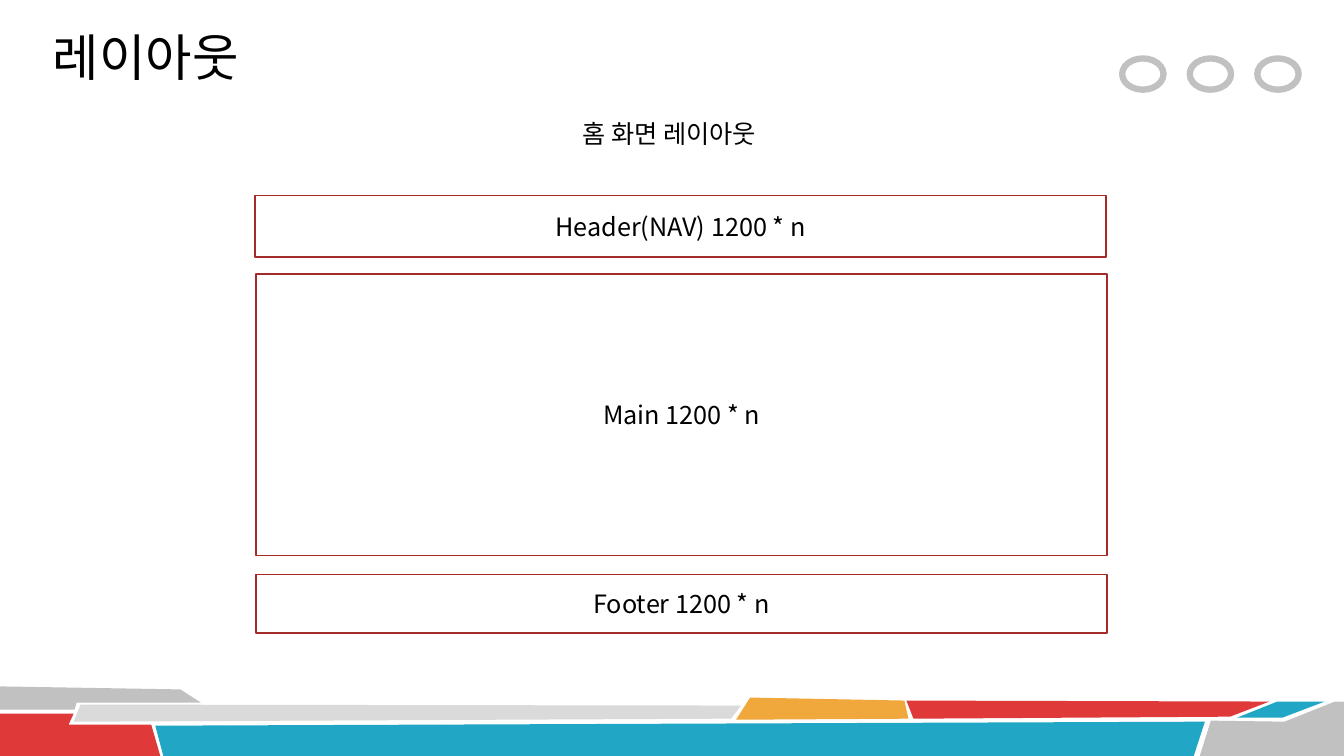
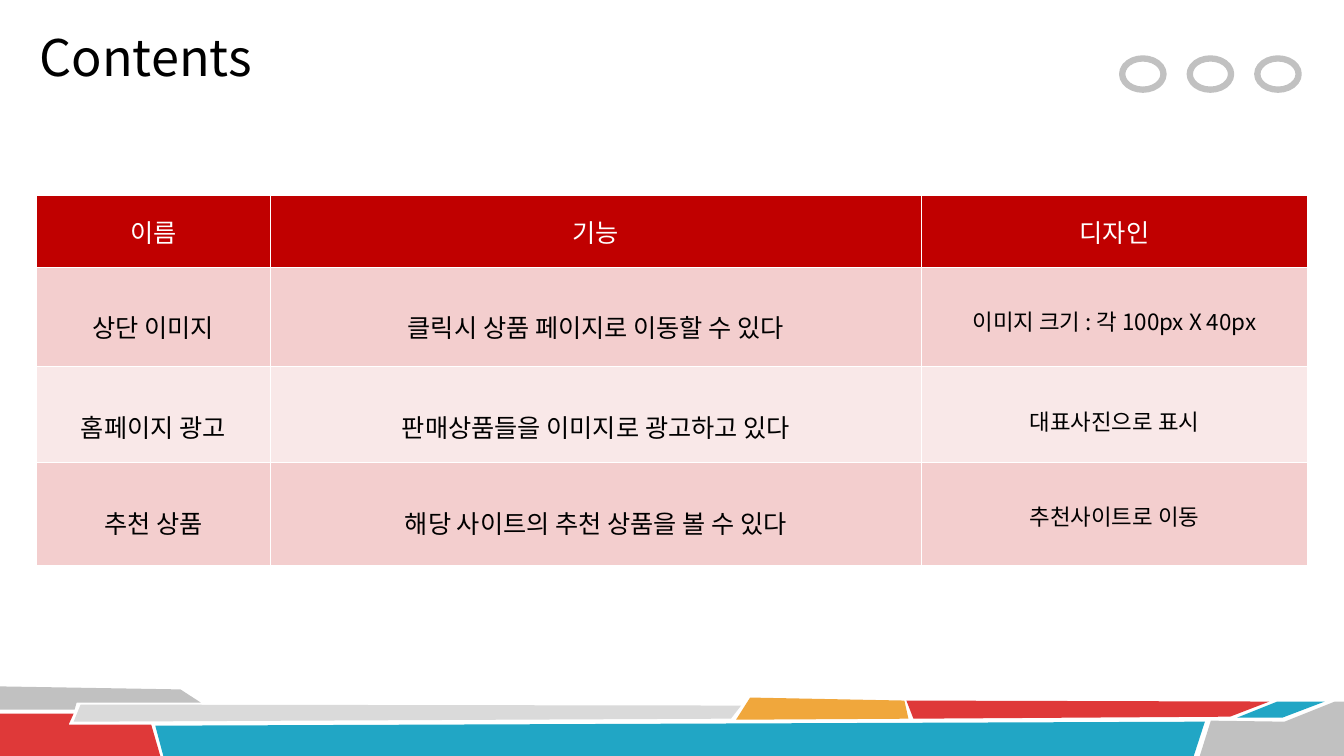
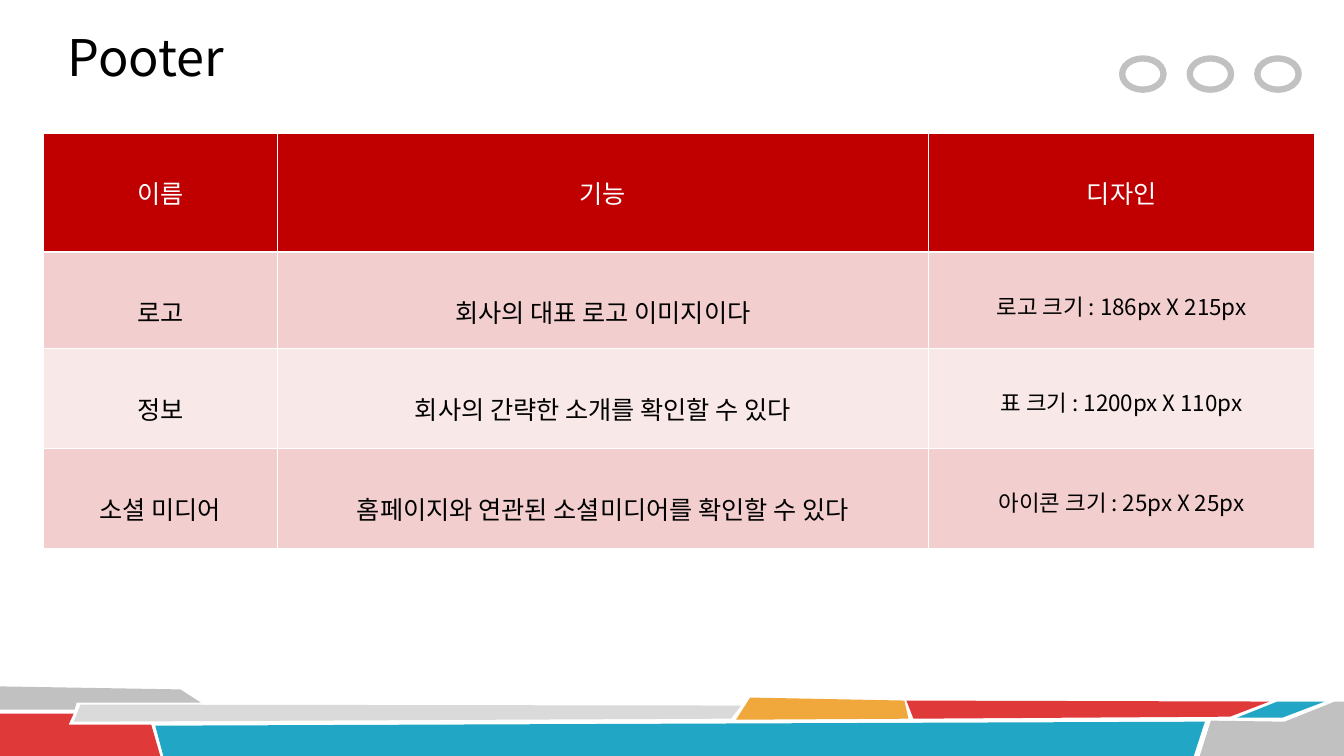
"""Builds three slides on a home page layout and its contents."""
import pptx
import pptx.util
import pptx.dml.color
import pptx.enum.shapes
import pptx.enum.text
import pptx.oxml
import pptx.oxml.ns

Inches = pptx.util.Inches
Pt = pptx.util.Pt
FONT = "Noto Sans CJK KR"
COLORS = {
    "black": "000000", "white": "FFFFFF", "gray": "C1C1C1", "pale": "DADADA",
    "red": "DF3939", "blue": "21A6C5", "gold": "F0A73C", "brown": "A52A2A",
    "head": "C00000", "rose": "F3CECE", "blush": "F9E8E8",
}
BANDS = [
    ("gray", [(0, 6.81), (1.79, 6.84), (1.99, 6.97), (0.76, 6.97), (0.74, 7.04), (0, 7.04)]),
    ("red", [(0, 7.08), (0.73, 7.08), (0.68, 7.19), (1.5, 7.19), (1.59, 7.5), (0, 7.5)]),
    ("pale", [(0.8, 6.99), (7.35, 7), (7.25, 7.13), (0.73, 7.16)]),
    ("blue", [(1.54, 7.2), (11.95, 7.16), (11.84, 7.5), (1.62, 7.5)]),
    ("gold", [(7.44, 6.92), (8.97, 6.95), (9.01, 7.13), (7.3, 7.14)]),
    ("red", [(8.99, 6.95), (12.59, 6.96), (12.2, 7.11), (9.06, 7.13)]),
    ("blue", [(12.67, 6.96), (13.14, 6.96), (12.72, 7.12), (12.27, 7.12)]),
    ("gray", [(12.01, 7.15), (12.74, 7.16), (13.24, 6.96), (13.33, 6.96), (13.33, 7.5), (11.9, 7.5)]),
]
BOXES = [
    ("Header(NAV) 1200 * n", 2.53, 1.94, 0.61),
    ("Main 1200 * n", 2.54, 2.72, 2.79),
    ("Footer 1200 * n", 2.54, 5.7, 0.58),
]
HEADS = ("이름", "기능", "디자인")
WIDTHS = (2.32, 6.46, 3.83)
TABLES = [
    {"title": "Contents", "at": (0.36, 1.94), "tall": (0.71, 0.99, 0.95, 1.02), "rows": [
        ("상단 이미지", "클릭시 상품 페이지로 이동할 수 있다", "이미지 크기 : 각 100px X 40px"),
        ("홈페이지 광고", "판매상품들을 이미지로 광고하고 있다", "대표사진으로 표시"),
        ("추천 상품", "해당 사이트의 추천 상품을 볼 수 있다", "추천사이트로 이동"),
    ]},
    {"title": "Pooter", "at": (0.43, 1.32), "tall": (1.18, 0.96, 0.99, 0.99), "rows": [
        ("로고", "회사의 대표 로고 이미지이다", "로고 크기 : 186px X 215px"),
        ("정보", "회사의 간략한 소개를 확인할 수 있다", "표 크기 : 1200px X 110px"),
        ("소셜 미디어", "홈페이지와 연관된 소셜미디어를 확인할 수 있다", "아이콘 크기 : 25px X 25px"),
    ]},
]


def tint(name):
    return pptx.dml.color.RGBColor.from_string(COLORS[name])


def paint(shape, fill=None, line=None, width=1.25):
    if fill:
        shape.fill.solid()
        shape.fill.fore_color.rgb = tint(fill)
    else:
        shape.fill.background()
    if line:
        shape.line.color.rgb = tint(line)
        shape.line.width = Pt(width)
    else:
        shape.line.fill.background()


def write(frame, text, size=18, color="black", align="CENTER"):
    para = frame.paragraphs[0]
    para.alignment = pptx.enum.text.PP_ALIGN[align]
    run = para.add_run()
    run.text = text
    run.font.name = FONT
    run.font.size = Pt(size)
    run.font.bold = False
    run.font.color.rgb = tint(color)
    east = pptx.oxml.parse_xml(f'<a:ea {pptx.oxml.ns.nsdecls("a")} typeface="{FONT}"/>')
    run.font._element.find(pptx.oxml.ns.qn("a:latin")).addnext(east)


def place(slide, kind, left, top, width, height):
    shape = slide.shapes.add_shape(kind, *map(Inches, (left, top, width, height)))
    shape.shadow.inherit = False
    return shape


def dress(slide, layout):
    parts = []
    for color, spots in BANDS:
        spots = [(Inches(x), Inches(y)) for x, y in spots]
        pen = slide.shapes.build_freeform(*spots[0])
        pen.add_line_segments(spots[1:], close=True)
        band = pen.convert_to_shape()
        band.shadow.inherit = False
        paint(band, color)
        parts.append(band)
    for step in range(3):
        ring = place(slide, pptx.enum.shapes.MSO_SHAPE.OVAL, 11.13 + 0.67 * step, 0.58, 0.41, 0.31)
        paint(ring, line="gray", width=4.5)
        parts.append(ring)
    for part in parts:
        layout.shapes.element.append(part.element)


def start(deck, layout, text):
    slide = deck.slides.add_slide(layout)
    title = slide.shapes.title
    title.left, title.top, title.width, title.height = map(Inches, (0.02, 0, 2.85, 1.12))
    paint(title, "white")
    frame = title.text_frame
    frame.auto_size = pptx.enum.text.MSO_AUTO_SIZE.NONE
    frame.vertical_anchor = pptx.enum.text.MSO_ANCHOR.MIDDLE
    write(frame, text, size=36)
    return slide


def edge(cell):
    props = cell._tc.get_or_add_tcPr()
    for side in "LRTB":
        props.append(pptx.oxml.parse_xml(
            f'<a:ln{side} {pptx.oxml.ns.nsdecls("a")} w="12700"><a:solidFill>'
            f'<a:srgbClr val="{COLORS["white"]}"/></a:solidFill></a:ln{side}>'))


def grid(slide, data):
    rows = [HEADS] + data["rows"]
    size = (sum(WIDTHS), sum(data["tall"]))
    table = slide.shapes.add_table(len(rows), len(HEADS), *map(Inches, data["at"] + size)).table
    table.horz_banding = False
    for col, width in zip(table.columns, WIDTHS):
        col.width = Inches(width)
    for r, (row, tall) in enumerate(zip(rows, data["tall"])):
        table.rows[r].height = Inches(tall)
        for c, text in enumerate(row):
            cell = table.cell(r, c)
            edge(cell)
            cell.fill.solid()
            if r == 0:
                cell.fill.fore_color.rgb = tint("head")
                cell.vertical_anchor = pptx.enum.text.MSO_ANCHOR.MIDDLE
                write(cell.text_frame, text, color="white")
            else:
                cell.fill.fore_color.rgb = tint("rose" if r % 2 else "blush")
                cell.margin_top = Inches(0.37 if c == 2 else 0.41)
                write(cell.text_frame, text, size=16 if c == 2 else 18)


def main():
    deck = pptx.Presentation()
    deck.slide_width, deck.slide_height = Inches(13.33), Inches(7.5)
    layout = deck.slide_layouts[5]
    slide = start(deck, layout, "레이아웃")
    dress(slide, layout)
    label = slide.shapes.add_textbox(*map(Inches, (5.68, 1.12, 2.14, 0.4))).text_frame
    label.word_wrap = False
    label.auto_size = pptx.enum.text.MSO_AUTO_SIZE.SHAPE_TO_FIT_TEXT
    write(label, "홈 화면 레이아웃", align="LEFT")
    for text, left, top, height in BOXES:
        box = place(slide, pptx.enum.shapes.MSO_SHAPE.RECTANGLE, left, top, 8.44, height)
        paint(box, "white", "brown")
        box.text_frame.vertical_anchor = pptx.enum.text.MSO_ANCHOR.MIDDLE
        write(box.text_frame, text)
    for data in TABLES:
        grid(start(deck, layout, data["title"]), data)
    deck.save("out.pptx")


if __name__ == "__main__":
    main()
